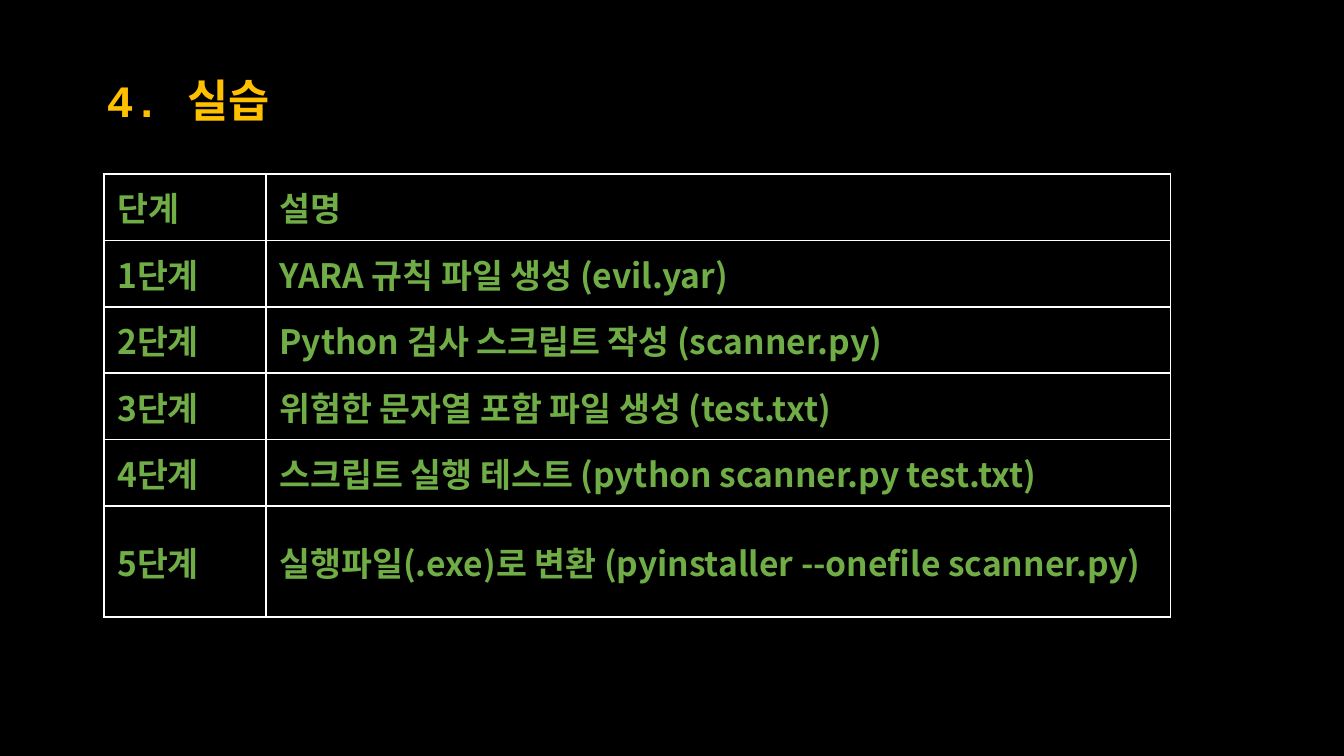
from pptx import Presentation
from pptx.dml.color import RGBColor
from pptx.enum.text import MSO_ANCHOR
from pptx.oxml.ns import qn
from pptx.util import Pt
from lxml import etree

MIDDLE = MSO_ANCHOR.MIDDLE
BLACK = RGBColor(0x00, 0x00, 0x00)
WHITE = RGBColor(0xFF, 0xFF, 0xFF)
GOLD = RGBColor(0xFF, 0xC0, 0x00)
GREEN = RGBColor(0x70, 0xAD, 0x47)
KOREAN_FONT = "Noto Sans CJK KR"
TITLE_FONT = "Courier New"

TITLE = "4. 실습"
STEPS = [
    ("단계", "설명"),
    ("1단계", "YARA 규칙 파일 생성 (evil.yar)"),
    ("2단계", "Python 검사 스크립트 작성 (scanner.py)"),
    ("3단계", "위험한 문자열 포함 파일 생성 (test.txt)"),
    ("4단계", "스크립트 실행 테스트 (python scanner.py test.txt)"),
    ("5단계", "실행파일(.exe)로 변환 (pyinstaller --onefile scanner.py)"),
]
COLUMN_WIDTHS = (87, 484.4)
ROW_HEIGHT = 35.6
TWO_LINE_HEIGHT = 59.5
ROW_HEIGHTS = [ROW_HEIGHT] * (len(STEPS) - 1) + [TWO_LINE_HEIGHT]


def style_text(para, font_name, size, color):
    """Format every run, with the Korean font for East Asian text."""
    for span in para.runs:
        font = span.font
        font.name = font_name
        font.size = Pt(size)
        font.bold = True
        font.color.rgb = color
        east_asian = etree.SubElement(font._element, qn("a:ea"))
        east_asian.set("typeface", KOREAN_FONT)


def add_borders(cell, color, width):
    properties = cell._tc.get_or_add_tcPr()
    for index, side in enumerate(("a:lnL", "a:lnR", "a:lnT", "a:lnB")):
        line = etree.Element(qn(side), w=str(Pt(width)))
        fill = etree.SubElement(line, qn("a:solidFill"))
        etree.SubElement(fill, qn("a:srgbClr"), val=str(color))
        properties.insert(index, line)


def add_title(page):
    box = page.shapes.add_textbox(Pt(50), Pt(23.8), Pt(648), Pt(62.6))
    frame = box.text_frame
    frame.word_wrap = True
    frame.vertical_anchor = MIDDLE
    frame.text = TITLE
    para = frame.paragraphs[0]
    para.line_spacing = 0.9
    style_text(para, TITLE_FONT, 24, GOLD)


def add_steps(page):
    table = page.shapes.add_table(
        len(STEPS), len(COLUMN_WIDTHS), Pt(55.6), Pt(93.2),
        Pt(sum(COLUMN_WIDTHS)), Pt(sum(ROW_HEIGHTS))).table
    for column, width in zip(table.columns, COLUMN_WIDTHS):
        column.width = Pt(width)
    for row, height, texts in zip(table.rows, ROW_HEIGHTS, STEPS):
        row.height = Pt(height)
        for cell, text in zip(row.cells, texts):
            cell.text = text
            cell.vertical_anchor = MIDDLE
            cell.fill.background()
            add_borders(cell, WHITE, 1)
            style_text(cell.text_frame.paragraphs[0], KOREAN_FONT, 18, GREEN)


def main():
    deck = Presentation()
    deck.slide_width, deck.slide_height = Pt(720), Pt(405)
    page = deck.slides.add_slide(deck.slide_layouts[6])
    page.background.fill.solid()
    page.background.fill.fore_color.rgb = BLACK
    add_title(page)
    add_steps(page)
    deck.save("out.pptx")


if __name__ == "__main__":
    main()
